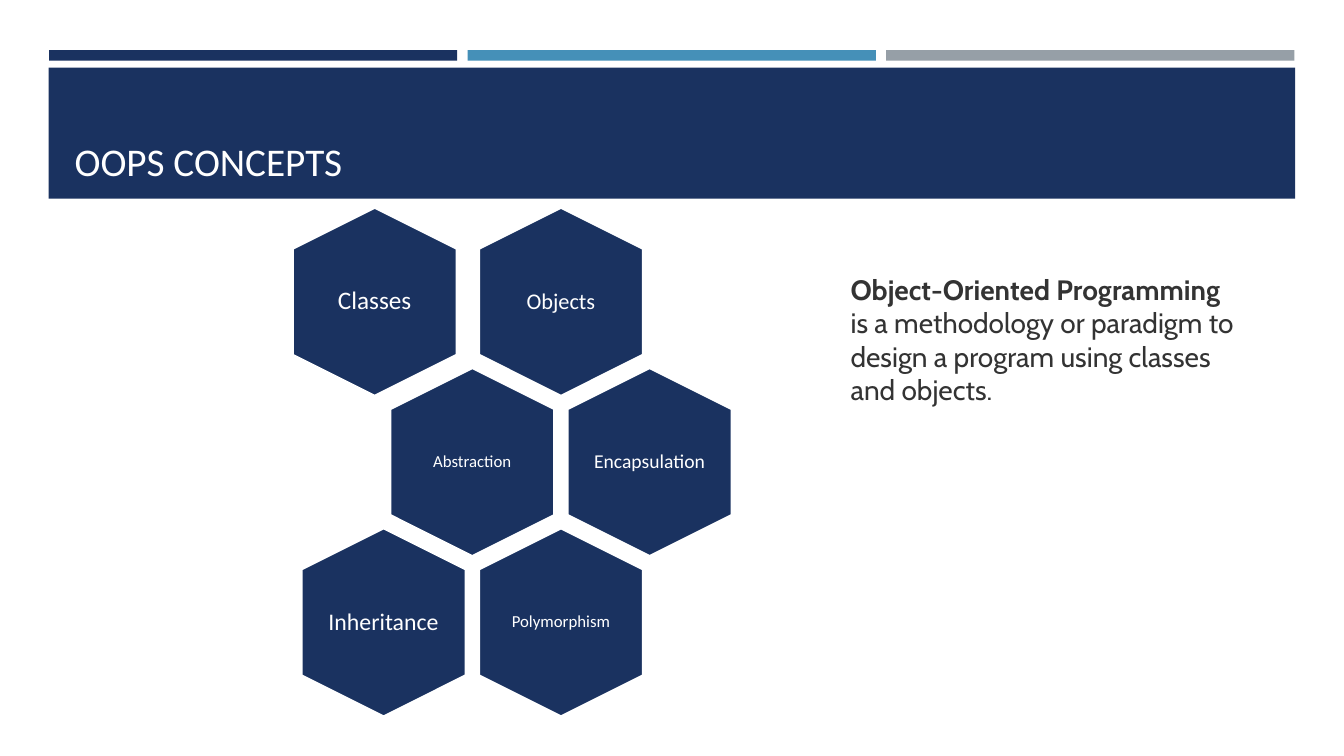
from dataclasses import dataclass

from pptx import Presentation
from pptx import util as u
from pptx.dml.color import RGBColor
from pptx.enum import shapes, text

Pt = u.Pt


@dataclass(frozen=True)
class Theme:
    navy: str = "1A3260"
    blue: str = "4590B8"
    grey: str = "969FA7"
    white: str = "FFFFFF"
    ink: str = "333333"
    head: str = "Calibri"
    body: str = "Cabin"
    title: int = 28
    note: int = 20


THEME = Theme()

# Label, column step, row, type size
CELLS = [
    ("Classes", -0.05, 0, 18),
    ("Objects", 1, 0, 16),
    ("Abstraction", 0.5, 1, 12),
    ("Encapsulation", 1.5, 1, 14),
    ("Inheritance", 0, 2, 17),
    ("Polymorphism", 1, 2, 12),
]


def color(code):
    return RGBColor.from_string(code)


def write(frame, *runs, font=THEME.head, size=18, ink=THEME.white,
          align=text.PP_ALIGN.LEFT, anchor=text.MSO_ANCHOR.TOP,
          inset=None, space=None):
    """Fill a text frame with (words, bold) runs in one format."""
    frame.word_wrap = True
    frame.auto_size = text.MSO_AUTO_SIZE.NONE
    frame.vertical_anchor = anchor
    if inset is not None:
        frame.margin_left = frame.margin_right = Pt(inset)
        frame.margin_top = frame.margin_bottom = Pt(inset)
    para = frame.paragraphs[0]
    para.alignment = align
    if space:
        para.line_spacing = space
    for words, bold in runs:
        run = para.add_run()
        run.text = words
        run.font.name = font
        run.font.size = Pt(size)
        run.font.bold = bold
        run.font.color.rgb = color(ink)


def add_form(slide, kind, left, top, width, height, fill):
    form = slide.shapes.add_shape(kind, Pt(left), Pt(top), Pt(width), Pt(height))
    form.shadow.inherit = False
    form.fill.solid()
    form.fill.fore_color.rgb = color(fill)
    form.line.fill.background()
    return form


def add_text(slide, left, top, width, height, *runs, **style):
    box = slide.shapes.add_textbox(Pt(left), Pt(top), Pt(width), Pt(height))
    write(box.text_frame, *runs, **style)


def add_cell(slide, label, mid_x, mid_y, size):
    """Draw an upright hexagon with its label, centred on a point."""
    long, short = 134.6, 117.4
    cell = add_form(slide, shapes.MSO_SHAPE.HEXAGON, mid_x - long / 2,
                    mid_y - short / 2, long, short, THEME.navy)
    cell.adjustments[0] = 0.25
    cell.adjustments[1] = 1.1547
    cell.rotation = 90
    cell.line.color.rgb = color(THEME.white)
    cell.line.width = Pt(1.75)
    # The label stays level while the hexagon is turned
    wide, high = 80.8, 92.8
    add_text(slide, mid_x - wide / 2, mid_y - high / 2, wide, high,
             (label, False), size=size, align=text.PP_ALIGN.CENTER,
             anchor=text.MSO_ANCHOR.MIDDLE, inset=0, space=0.9)


def add_title(slide, words):
    title = slide.shapes.title
    title.left, title.top = Pt(46.1), Pt(55.4)
    title.width, title.height = Pt(868.3), Pt(80)
    write(title.text_frame, (words, False), size=THEME.title,
          anchor=text.MSO_ANCHOR.BOTTOM)
    # Bring the title in front of the band
    title._element.getparent().append(title._element)


def main():
    deck = Presentation()
    deck.slide_width, deck.slide_height = Pt(960), Pt(540)
    slide = deck.slides.add_slide(deck.slide_layouts[5])

    # Header bars, band and title
    rect = shapes.MSO_SHAPE.RECTANGLE
    for step, fill in enumerate((THEME.navy, THEME.blue, THEME.grey)):
        add_form(slide, rect, 35 + 299 * step, 35.8, 291.6, 7.6, fill)
    add_form(slide, rect, 34.8, 48.4, 890.4, 93.6, THEME.navy)
    add_title(slide, "OOPS CONCEPTS")

    # Honeycomb of concepts
    for label, step, row, size in CELLS:
        add_cell(slide, label, 274 + 126.7 * step, 215.6 + 114.5 * row, size)

    # Definition
    add_text(slide, 600.5, 190.8, 294.5, 104.4,
             ("Object-Oriented Programming ", True),
             ("is a methodology or paradigm to design a program "
              "using classes and objects.", False),
             font=THEME.body, size=THEME.note, ink=THEME.ink)

    deck.save("out.pptx")


if __name__ == "__main__":
    main()
